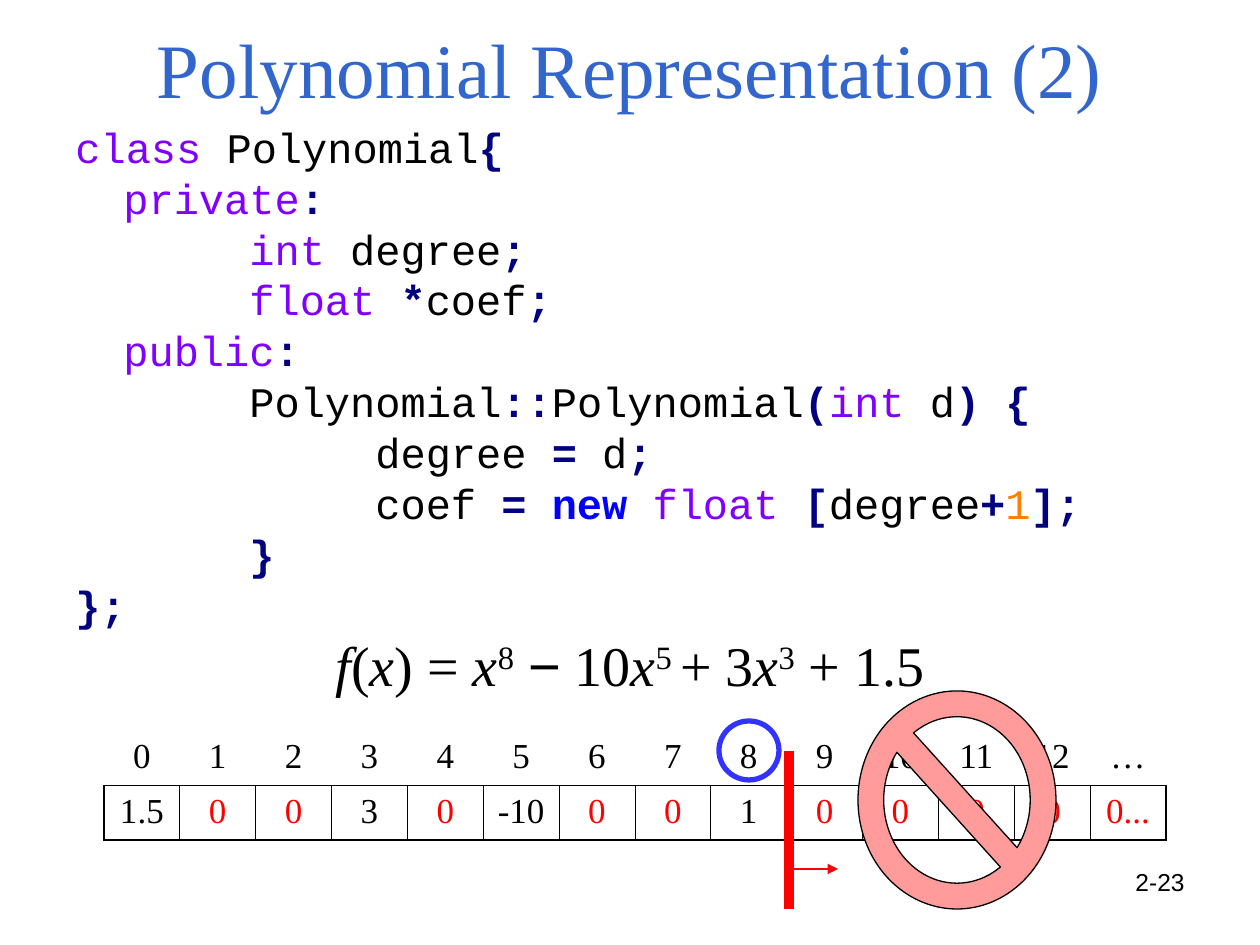
"""Build the Polynomial Representation slide with its code, formula and coefficient table."""
from lxml import etree
from pptx import Presentation, util as u
from pptx.dml.color import RGBColor
from pptx.enum import shapes, text
from pptx.oxml import ns

PX = 914400 // 126
THEME = {
    "title": "3366CC", "type": "8000FF", "sign": "000080", "word": "0000FF",
    "number": "FF8000", "plain": "000000", "red": "FF0000", "ring": "3333FF", "ban": "FF9B9B",
    "serif": "Times New Roman", "mono": "Courier New", "sans": "Arial",
    "title_size": 44, "code_size": 24, "formula_size": 32, "cell_size": 20, "page_size": 14,
}
BOLD = ("sign", "word")


def add_span(para, words, color, font, size, **formats):
    span = para.add_run()
    span.text = words
    span.font.color.rgb = RGBColor.from_string(THEME[color])
    values = {"name": THEME[font], "size": u.Pt(THEME[size]), "bold": color in BOLD, **formats}
    for name, value in values.items():
        setattr(span.font, name, value)
    return span


def add_box(page, left, top, width, height, **formats):
    box = page.shapes.add_textbox(*(n * PX for n in (left, top, width, height)))
    for name, value in {"word_wrap": True, **formats}.items():
        setattr(box.text_frame, name, value)
    return box.text_frame


deck = Presentation()
deck.slide_width, deck.slide_height = 1260 * PX, 945 * PX
page = deck.slides.add_slide(deck.slide_layouts[6])

title = add_box(page, 63, 0, 1134, 135, vertical_anchor=text.MSO_ANCHOR.MIDDLE)
title.paragraphs[0].alignment = text.PP_ALIGN.CENTER
add_span(title.paragraphs[0], "Polynomial Representation (2)", "title", "serif", "title_size")

code = [
    [("class", "type"), (" Polynomial", "plain"), ("{", "sign")],
    [("\t", "plain"), ("private", "type"), (":", "sign")],
    [("\t\t", "plain"), ("int", "type"), (" degree", "plain"), (";", "sign")],
    [("\t\t", "plain"), ("float ", "type"), ("*", "sign"), ("coef", "plain"), (";", "sign")],
    [("\t", "plain"), ("public", "type"), (":", "sign")],
    [("\t\tPolynomial", "plain"), ("::", "sign"), ("Polynomial", "plain"), ("(", "sign"),
     ("int", "type"), (" d", "plain"), (")\t{", "sign")],
    [("\t\t\tdegree ", "plain"), ("=", "sign"), (" d", "plain"), (";", "sign")],
    [("\t\t\tcoef ", "plain"), ("= ", "sign"), ("new ", "word"), ("float ", "type"), ("[", "sign"),
     ("degree", "plain"), ("+", "sign"), ("1", "number"), ("];", "sign")],
    [("\t\t", "plain"), ("}", "sign")],
    [("};", "sign")],
]
formula = [
    ("f", "italic"), ("(", ""), ("x", "italic"), (") = ", ""), ("x", "italic"), ("8", "power"),
    (" ", ""), ("−", "minus"), (" 10", ""), ("x", "italic"), ("5 ", "power"), ("+ 3", ""),
    ("x", "italic"), ("3", "power"), (" + 1.5", ""),
]

body = add_box(page, 63, 125, 1134, 719)
for index in range(len(code) + 1):
    para = body.paragraphs[0] if index == 0 else body.add_paragraph()
    properties = para._p.get_or_add_pPr()
    for name, value in {"marL": 48 * PX, "indent": -48 * PX, "defTabSz": u.Inches(1)}.items():
        properties.set(name, str(value))
    tabs = etree.SubElement(properties, ns.qn("a:tabLst"))
    for inch in range(8):
        etree.SubElement(tabs, ns.qn("a:tab"), pos=str(u.Inches(inch)), algn="l")
    para.line_spacing = 0.8
    para.space_before = u.Pt(6 if index else 0)
    if index < len(code):
        for words, color in code[index]:
            add_span(para, words, color, "mono", "code_size")

para.alignment = text.PP_ALIGN.CENTER
para.space_before = u.Pt(8)
for words, role in formula:
    font = "sans" if role == "minus" else "serif"
    span = add_span(para, words, "plain", font, "formula_size", italic=role == "italic")
    if role == "power":
        span.font._element.set("baseline", "30000")

rows = [
    [*map(str, range(13)), "…"],
    ["1.5", "0", "0", "3", "0", "-10", "0", "0", "1", "0", "0", "0", "0", "0..."],
]
last = len(rows[0]) - 1
table = page.shapes.add_table(2, last + 1, 104 * PX, 731 * PX, 1062 * PX, 109 * PX).table
table.first_row = table.horz_banding = False
for column in table.columns:
    column.width = 1062 * PX // (last + 1)
for row, values in enumerate(rows):
    table.rows[row].height = 109 * PX // 2
    for column, value in enumerate(values):
        cell = table.cell(row, column)
        para = cell.text_frame.paragraphs[0]
        para.alignment = text.PP_ALIGN.CENTER
        color = "red" if row and value.startswith("0") else "plain"
        add_span(para, value, color, "serif", "cell_size")
        borders = {"L": 0, "R": 0, "T": 0, "B": 0.45}
        if row:
            borders = {"L": 0.45 if column else 1.08, "R": 1.08 if column == last else 0.45,
                       "T": 0.45, "B": 1.08}
        for side, width in borders.items():
            edge = etree.SubElement(cell._tc.get_or_add_tcPr(), ns.qn(f"a:ln{side}"),
                                    w=str(u.Pt(width)))
            if width:
                fill = etree.SubElement(edge, ns.qn("a:solidFill"))
                etree.SubElement(fill, ns.qn("a:srgbClr"), val=THEME["plain"])
            else:
                etree.SubElement(edge, ns.qn("a:noFill"))
        cell.fill.background()

lines = []
for ends, width in [((789, 909, 789, 751), 6), ((789, 869, 838, 869), 0.75)]:
    line = page.shapes.add_connector(shapes.MSO_CONNECTOR.STRAIGHT, *(n * PX for n in ends))
    line.line.color.rgb = RGBColor.from_string(THEME["red"])
    line.line.width = u.Pt(width)
    etree.SubElement(line._element.spPr, ns.qn("a:effectLst"))
    lines.append(line)
etree.SubElement(lines[1].line._get_or_add_ln(), ns.qn("a:tailEnd"), type="triangle")

marks = [
    (shapes.MSO_SHAPE.NO_SYMBOL, (858, 691, 198, 218), "ban", "plain", 0.75),
    (shapes.MSO_SHAPE.OVAL, (719, 721, 60, 59), None, "ring", 3),
]
for kind, place, fill, color, width in marks:
    mark = page.shapes.add_shape(kind, *(n * PX for n in place))
    mark.shadow.inherit = False
    mark.line.color.rgb = RGBColor.from_string(THEME[color])
    mark.line.width = u.Pt(width)
    if fill:
        mark.fill.solid()
        mark.fill.fore_color.rgb = RGBColor.from_string(THEME[fill])
        mark.adjustments[0] = 0.13
    else:
        mark.fill.background()

number = add_box(page, 903, 861, 294, 66)
number.paragraphs[0].alignment = text.PP_ALIGN.RIGHT
add_span(number.paragraphs[0], "2-23", "plain", "sans", "page_size")

deck.save("out.pptx")
